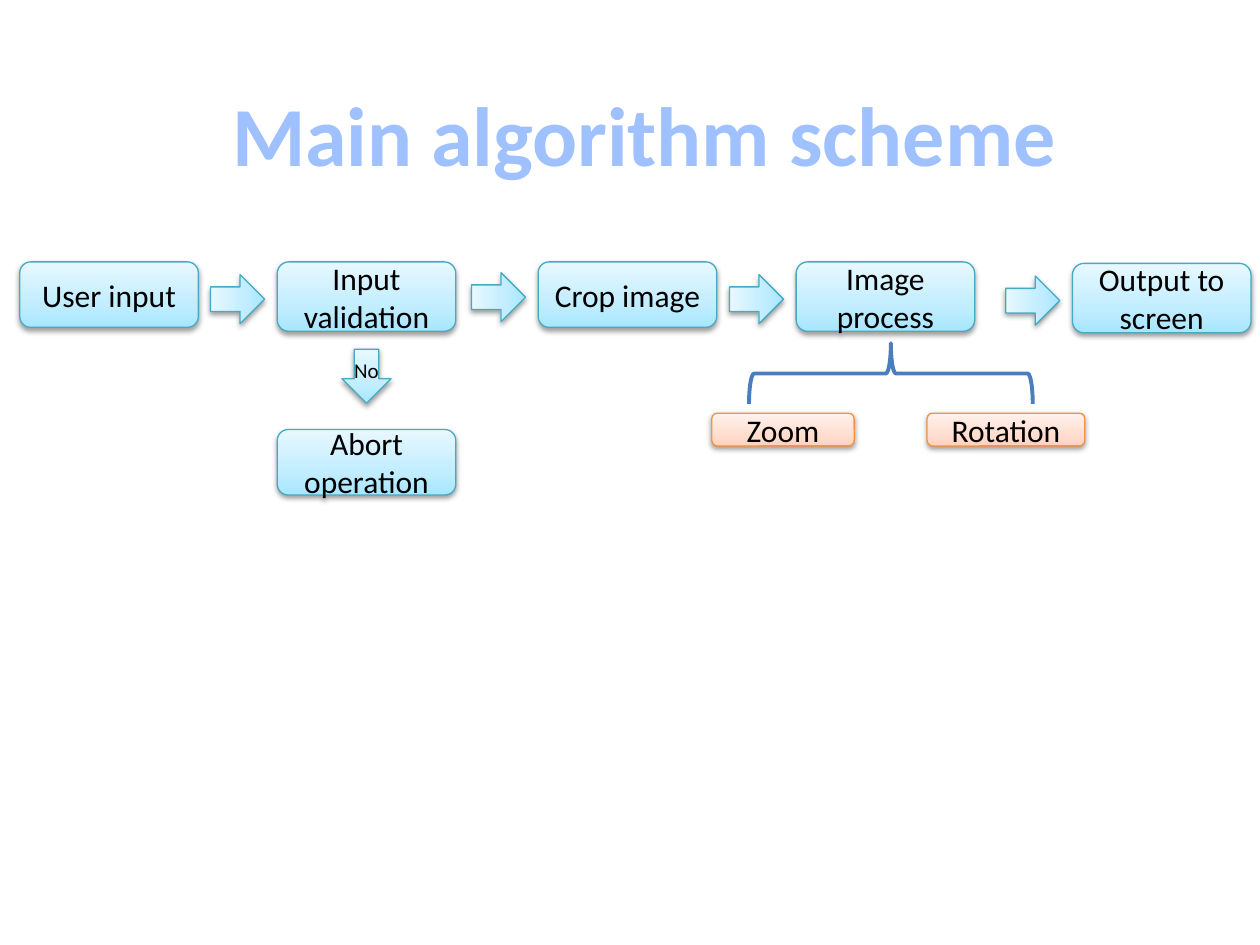
import pptx
import pptx.util
import pptx.dml.color
import pptx.enum.shapes
import pptx.enum.text
import pptx.oxml
from pptx.oxml.ns import nsdecls

Cm, Pt = pptx.util.Cm, pptx.util.Pt
SHAPES = pptx.enum.shapes.MSO_SHAPE
FONT = "Calibri"
BLUE = {"stops": ((0, "A7E6FF"), (35, "C1EDFF"), (100, "E7F8FF")), "line": "46AAC5"}
ORANGE = {"stops": ((0, "FFD2BD"), (35, "FFDED0"), (100, "FFF2ED")), "line": "F69240"}
BOX_WIDTH = 3.6
ARROW_WIDTH, ARROW_HEIGHT = 0.99, 1.09


def color(hex_code):
    """Turn a hex string into a colour."""
    return pptx.dml.color.RGBColor.from_string(hex_code)


def write(frame, text, size=18, hue="000000", bold=False, wrap=True):
    """Put centred text in a frame."""
    frame.word_wrap = wrap
    frame.vertical_anchor = pptx.enum.text.MSO_ANCHOR.MIDDLE
    paragraph = frame.paragraphs[0]
    paragraph.alignment = pptx.enum.text.PP_ALIGN.CENTER
    run = paragraph.add_run()
    run.text = text
    run.font.name, run.font.size, run.font.bold = FONT, Pt(size), bold
    run.font.color.rgb = color(hue)


def add_glossy(slide, kind, left, top, width, height, theme=BLUE):
    """Add a shape with a vertical gradient, a thin outline and a soft shadow."""
    shape = slide.shapes.add_shape(kind, Cm(left), Cm(top), Cm(width), Cm(height))
    shape.line.color.rgb = color(theme["line"])
    shape.line.width = Pt(0.75)
    stops = "".join(f'<a:gs pos="{pos * 1000}"><a:srgbClr val="{hue}"/></a:gs>'
                    for pos, hue in theme["stops"])
    gradient = pptx.oxml.parse_xml(
        f'<a:gradFill {nsdecls("a")} rotWithShape="1"><a:gsLst>{stops}</a:gsLst>'
        '<a:lin ang="16200000" scaled="1"/></a:gradFill>')
    shadow = pptx.oxml.parse_xml(
        f'<a:effectLst {nsdecls("a")}><a:outerShdw blurRad="{Pt(3.1)}" dist="{Pt(1.6)}" '
        'dir="5400000" rotWithShape="0"><a:srgbClr val="000000"><a:alpha val="38000"/>'
        '</a:srgbClr></a:outerShdw></a:effectLst>')
    outline = shape.line._get_or_add_ln()
    outline.addprevious(gradient)
    outline.addnext(shadow)
    return shape


def add_step(slide, label, left, top, width, height, theme=BLUE):
    """Add a rounded box with its label."""
    box = add_glossy(slide, SHAPES.ROUNDED_RECTANGLE, left, top, width, height, theme)
    write(box.text_frame, label)


def add_arrow(slide, center_x, center_y, rotation=0):
    """Add a block arrow around a centre point."""
    arrow = add_glossy(slide, SHAPES.DOWN_ARROW, center_x - ARROW_WIDTH / 2,
                       center_y - ARROW_HEIGHT / 2, ARROW_WIDTH, ARROW_HEIGHT)
    arrow.rotation = rotation
    return arrow


def add_title(slide, left, top, width, height):
    """Place and format the title."""
    title = slide.shapes.title
    title.left, title.top, title.width, title.height = map(Cm, (left, top, width, height))
    write(title.text_frame, "Main algorithm scheme", size=48, hue="A0C1FF",
          bold=True, wrap=False)


def add_main_flow(slide, top):
    """Add the row of steps, each with an arrow leading into it."""
    steps = (("User input", 0.4, 0, 1.32), ("Input validation", 5.59, 0, 1.4),
             ("Crop image", 10.85, 0, 1.32), ("Image process", 16.05, 0, 1.4),
             ("Output to screen", 21.62, 0.03, 1.4))
    for index, (label, left, drop, height) in enumerate(steps):
        add_step(slide, label, left, top + drop, BOX_WIDTH, height)
        if index:
            add_arrow(slide, left - 0.8, top + drop + height / 2 + 0.05, rotation=270)


def add_abort_branch(slide, left, top):
    """Add the arrow for failed validation and the step below it."""
    arrow = add_arrow(slide, left + BOX_WIDTH / 2, top + ARROW_HEIGHT / 2)
    write(arrow.text_frame, "No", size=12, wrap=False)
    add_step(slide, "Abort operation", left, top + 1.62, BOX_WIDTH, 1.32)


def add_process_options(slide, left, top):
    """Add the brace and the two kinds of image processing under it."""
    depth, span = 1.22, 5.72
    center_x, center_y = left + 3.61, top + depth / 2
    brace = slide.shapes.add_shape(SHAPES.RIGHT_BRACE, Cm(center_x - depth / 2),
                                   Cm(center_y - span / 2), Cm(depth), Cm(span))
    brace.rotation = 270
    brace.shadow.inherit = False
    brace.fill.background()
    brace.line.color.rgb = color("4B7EBC")
    brace.line.width = Pt(2.25)
    for label, offset, width in (("Zoom", 0, 2.87), ("Rotation", 4.34, 3.18)):
        add_step(slide, label, left + offset, top + 1.41, width, 0.66, ORANGE)


def main():
    """Build the slide and save it."""
    deck = pptx.Presentation()
    deck.slide_width, deck.slide_height = Cm(25.4), Cm(19.05)
    slide = deck.slides.add_slide(deck.slide_layouts[5])
    add_title(slide, 4.34, 1.52, 17.3, 2.31)
    add_main_flow(slide, 5.28)
    add_abort_branch(slide, 5.59, 7.04)
    add_process_options(slide, 14.35, 6.92)
    deck.save("out.pptx")


main()
